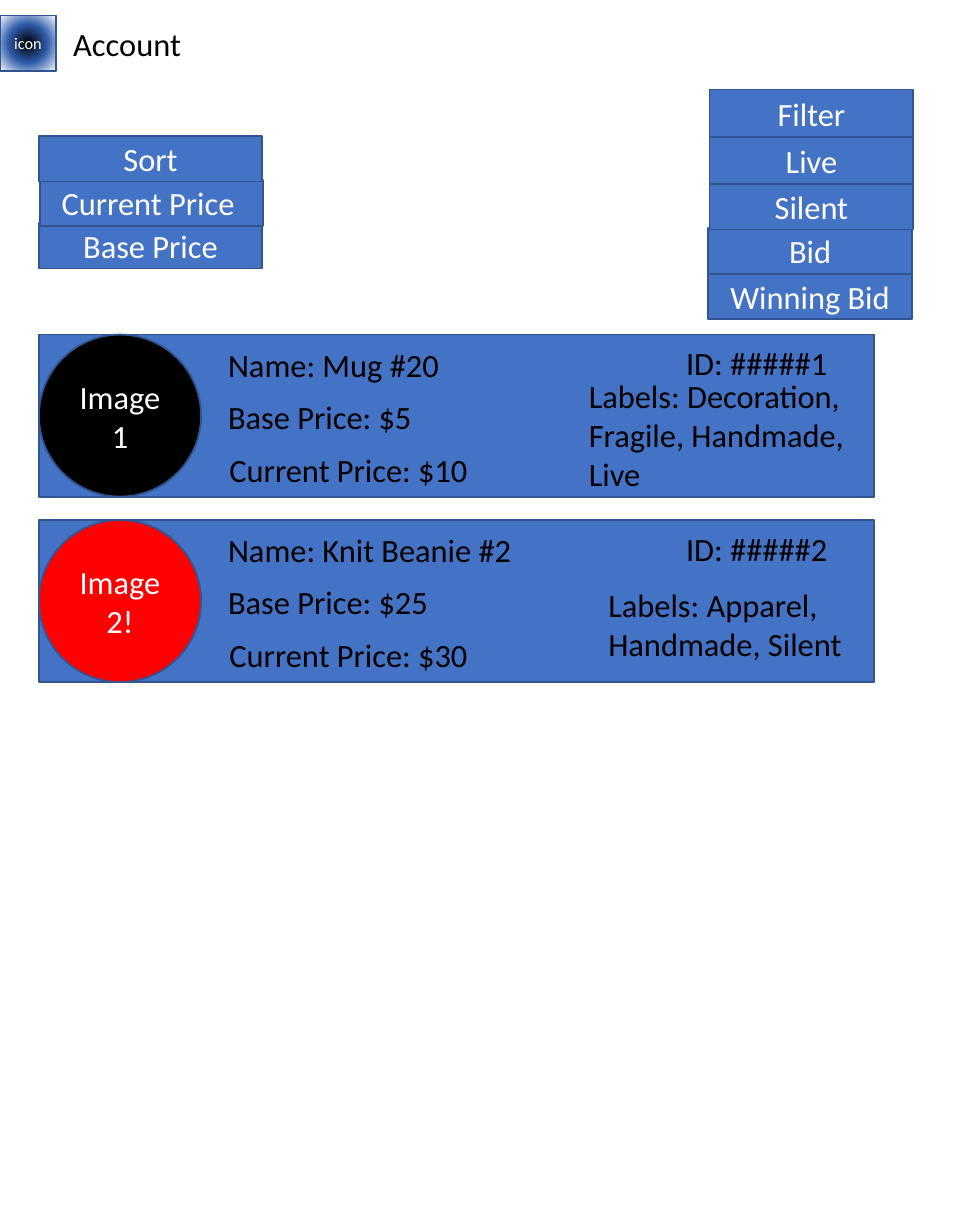
import pptx
import pptx.util
import pptx.dml.color
import pptx.enum.shapes
import pptx.enum.text
import pptx.oxml
import pptx.oxml.ns

Inches = pptx.util.Inches
Pt = pptx.util.Pt
SHAPE = pptx.enum.shapes.MSO_SHAPE
ALIGN = pptx.enum.text.PP_ALIGN

COLORS = {
    "blue": "4472C4",
    "outline": "325491",
    "mid": "315EAD",
    "black": "000000",
    "red": "FF0000",
    "white": "FFFFFF",
}


def rgb(name):
    """Return the named colour."""
    return pptx.dml.color.RGBColor.from_string(COLORS[name])


class Painter:
    """Holds the style, the current slide and the group being filled."""

    font = "Calibri"

    def __init__(self, page):
        """Start drawing directly on the slide."""
        self.page = page
        self.target = page.shapes

    def start_group(self):
        """Send the next elements into a new group."""
        self.target = self.page.shapes.add_group_shape().shapes

    def end_group(self):
        """Return to drawing directly on the slide."""
        self.target = self.page.shapes

    def fill_text(self, frame, text, color, size, align):
        """Put one styled paragraph into a text frame."""
        frame.word_wrap = True
        para = frame.paragraphs[0]
        para.text = text
        para.alignment = align
        para.font.name = self.font
        para.font.size = Pt(size)
        para.font.color.rgb = rgb(color)

    def shape(self, kind, place, fill="blue", text="", size=18):
        """Draw an outlined shape with centred white text."""
        box = self.target.add_shape(kind, *map(Inches, place))
        box.shadow.inherit = False
        box.fill.solid()
        box.fill.fore_color.rgb = rgb(fill)
        box.line.color.rgb = rgb("outline")
        box.line.width = Pt(1)
        if text:
            box.text_frame.vertical_anchor = pptx.enum.text.MSO_ANCHOR.MIDDLE
            self.fill_text(box.text_frame, text, "white", size, ALIGN.CENTER)
        return box

    def text(self, place, text, align=ALIGN.LEFT):
        """Draw a black text box that grows with its text."""
        box = self.target.add_textbox(*map(Inches, place))
        self.fill_text(box.text_frame, text, "black", 18, align)
        box.text_frame.auto_size = pptx.enum.text.MSO_AUTO_SIZE.SHAPE_TO_FIT_TEXT

    def radial(self, box, stops):
        """Replace a solid fill with a gradient from the centre outwards."""
        marks = "".join(
            f'<a:gs pos="{percent * 1000}"><a:srgbClr val="{COLORS[name]}"/></a:gs>'
            for percent, name in stops
        )
        gradient = pptx.oxml.parse_xml(
            f'<a:gradFill {pptx.oxml.ns.nsdecls("a")} rotWithShape="1">'
            f'<a:gsLst>{marks}</a:gsLst><a:path path="circle">'
            '<a:fillToRect l="50000" t="50000" r="50000" b="50000"/>'
            "</a:path></a:gradFill>"
        )
        properties = box.element.spPr
        solid = properties.find(pptx.oxml.ns.qn("a:solidFill"))
        properties.replace(solid, gradient)

    def menu(self, width, entries):
        """Stack menu entries so that each one overlaps the one below."""
        for left, top, height, label in reversed(entries):
            self.shape(SHAPE.RECTANGLE, (left, top, width, height), text=label)

    def account(self):
        """Draw the account icon and its label."""
        self.start_group()
        self.text((0.3, 0.14, 1.36, 0.4), "Account", ALIGN.CENTER)
        icon = self.shape(SHAPE.RECTANGLE, (0, 0.12, 0.43, 0.43), text="icon", size=9)
        self.radial(icon, [(0, "black"), (50, "mid"), (100, "white")])
        self.end_group()

    def item(self, top, color, image, name, number, base, current, labels, labels_place):
        """Draw one auction item card."""
        self.start_group()
        self.shape(SHAPE.RECTANGLE, (0.3, top, 6.44, 1.25))
        self.shape(SHAPE.OVAL, (0.3, top, 1.25, 1.25), color, image)
        self.text((1.66, top + 0.03, 2.91, 0.4), f"Name: {name}")
        self.text((5.19, top + 0.02, 1.36, 0.4), f"ID: #####{number}")
        self.text((1.67, top + 0.84, 2.28, 0.4), f"Current Price: ${current}")
        self.text((1.66, top + 0.43, 1.8, 0.4), f"Base Price: ${base}")
        left, offset, width, height = labels_place
        self.text((left, top + offset, width, height), f"Labels: {labels}")
        self.end_group()


def main():
    """Build the auction page and save it."""
    deck = pptx.Presentation()
    deck.slide_width = Inches(7.5)
    deck.slide_height = Inches(9.5)
    painter = Painter(deck.slides.add_slide(deck.slide_layouts[6]))

    painter.account()
    painter.item(2.58, "black", "Image1", "Mug #20", 1, 5, 10,
                 "Decoration, Fragile, Handmade, Live", (4.44, 0.27, 2.24, 1.01))
    painter.item(4.01, "red", "Image2!", "Knit Beanie #2", 2, 25, 30,
                 "Apparel, Handmade, Silent ", (4.59, 0.45, 2.12, 0.71))
    painter.menu(1.57, [
        (5.47, 0.69, 0.37, "Filter"),
        (5.47, 1.05, 0.37, "Live"),
        (5.47, 1.42, 0.35, "Silent"),
        (5.46, 1.76, 0.35, "Bid"),
        (5.46, 2.11, 0.35, "Winning Bid"),
    ])
    painter.menu(1.72, [
        (0.3, 1.05, 0.35, "Sort"),
        (0.31, 1.39, 0.35, "Current Price "),
        (0.3, 1.72, 0.35, "Base Price"),
    ])
    deck.save("out.pptx")


main()
